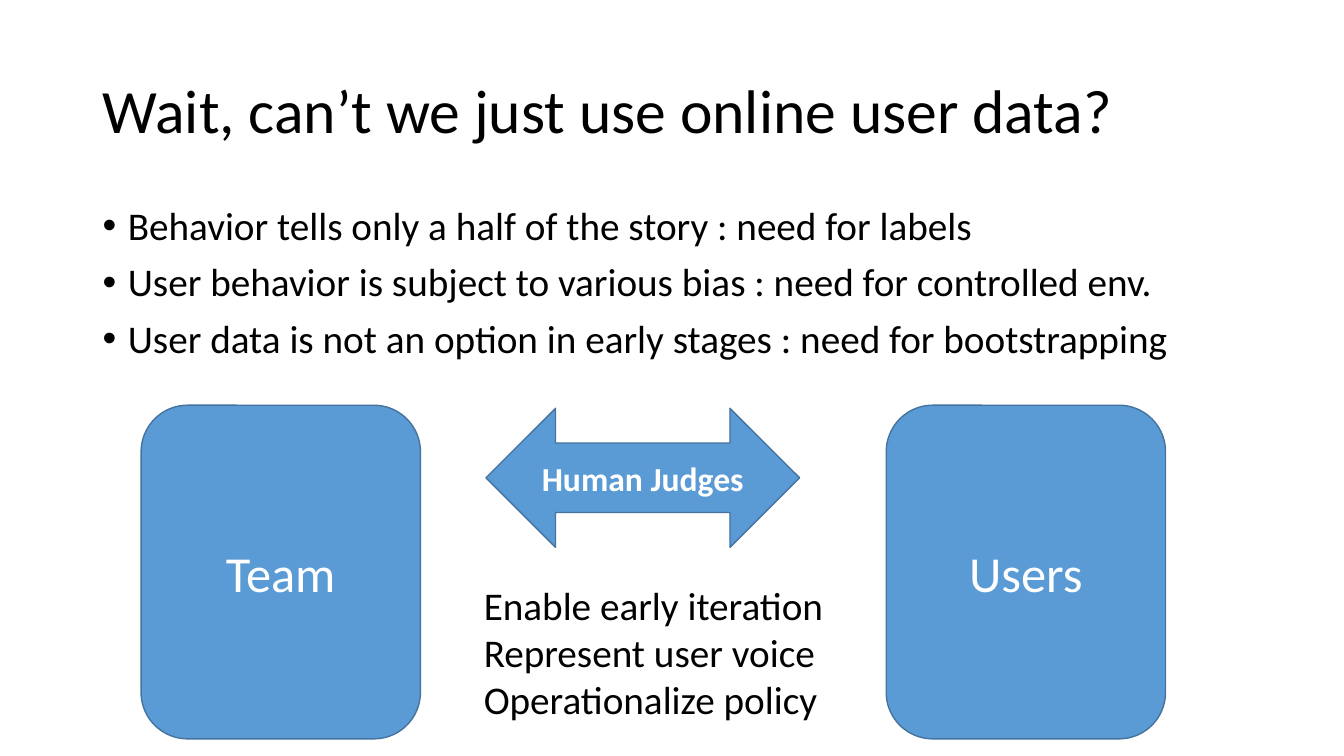
from lxml import etree
from pptx import Presentation
from pptx import util as u
from pptx.dml.color import RGBColor
from pptx.enum import shapes, text
from pptx.oxml.ns import qn

COLORS = {"ink": "000000", "paper": "FFFFFF", "block": "5B9BD5", "edge": "43739E"}

presentation = Presentation()
presentation.slide_width = u.Inches(13.33)
presentation.slide_height = u.Inches(7.5)
slide = presentation.slides.add_slide(presentation.slide_layouts[6])
column = presentation.slide_width / 133.3
row = presentation.slide_height / 75


def place(left, top, width, height):
    return [round(left * column), round(top * row), round(width * column), round(height * row)]


def write(shape, lines, size, color, bold=False, anchor=text.MSO_ANCHOR.TOP, layout={}):
    frame = shape.text_frame
    frame.word_wrap = True
    frame.vertical_anchor = anchor
    frame.text = "\n".join(lines)
    font_format = {"name": "Calibri", "size": u.Pt(size), "bold": bold}
    for paragraph in frame.paragraphs:
        for name, value in layout.items():
            setattr(paragraph, name, value)
        font = paragraph.runs[0].font
        for name, value in font_format.items():
            setattr(font, name, value)
        font.color.rgb = RGBColor.from_string(COLORS[color])
    return frame.paragraphs


title = slide.shapes.add_textbox(*place(9.2, 4, 115, 14.5))
write(title, ["Wait, can’t we just use online user data?"], 44, "ink",
      anchor=text.MSO_ANCHOR.MIDDLE, layout={"line_spacing": 0.9})

reasons = slide.shapes.add_textbox(*place(9.2, 20, 115, 47.6))
reason_lines = [
    "Behavior tells only a half of the story : need for labels",
    "User behavior is subject to various bias : need for controlled env.",
    "User data is not an option in early stages : need for bootstrapping",
]
reason_paragraphs = write(reasons, reason_lines, 28, "ink", layout={"line_spacing": 0.9})
for index, paragraph in enumerate(reason_paragraphs):
    paragraph.space_before = u.Pt(10 if index else 0)
    properties = paragraph._p.get_or_add_pPr()
    properties.set("marL", str(u.Inches(0.25)))
    properties.set("indent", str(-u.Inches(0.25)))
    etree.SubElement(properties, qn("a:buFont")).set("typeface", "Arial")
    etree.SubElement(properties, qn("a:buChar")).set("char", "•")

rounded = shapes.MSO_SHAPE.ROUNDED_RECTANGLE
arrow = shapes.MSO_SHAPE.LEFT_RIGHT_ARROW
blocks = [
    ("Team", rounded, (14, 40.2, 27.7, 33.1), 36, False),
    ("Users", rounded, (87.9, 40.2, 27.7, 33.1), 36, False),
    ("Human Judges", arrow, (48.2, 40.5, 31.1, 13.8), 24, True),
]
for label, kind, cells, size, bold in blocks:
    block = slide.shapes.add_shape(kind, *place(*cells))
    block.shadow.inherit = False
    block.fill.solid()
    block.fill.fore_color.rgb = RGBColor.from_string(COLORS["block"])
    block.line.color.rgb = RGBColor.from_string(COLORS["edge"])
    block.line.width = u.Pt(1)
    write(block, [label], size, "paper", bold, text.MSO_ANCHOR.MIDDLE,
          {"alignment": text.PP_ALIGN.CENTER})

benefits = slide.shapes.add_textbox(*place(47, 57.2, 35.7, 15.1))
write(benefits, ["Enable early iteration", "Represent user voice", "Operationalize policy"], 28, "ink")

presentation.save("out.pptx")
